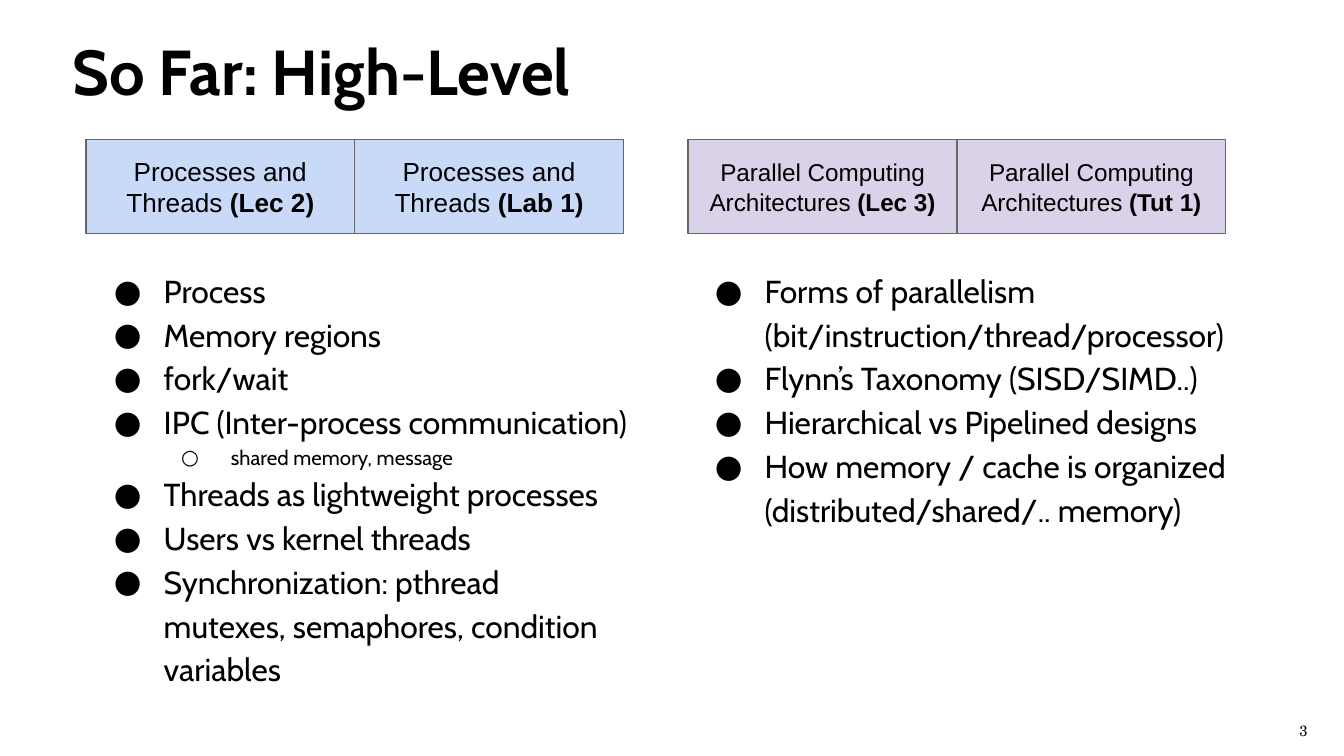
from lxml import etree
from pptx import Presentation
from pptx.dml.color import RGBColor
from pptx.enum.shapes import MSO_SHAPE
from pptx.enum.text import MSO_ANCHOR, PP_ALIGN
from pptx.oxml.ns import qn
from pptx.util import Inches, Pt

RECTANGLE = MSO_SHAPE.RECTANGLE
TOP, MIDDLE = MSO_ANCHOR.TOP, MSO_ANCHOR.MIDDLE
LEFT, CENTER = PP_ALIGN.LEFT, PP_ALIGN.CENTER

BLACK, GREY, BLUE, PURPLE = "000000", "666666", "C9DAF8", "D9D2E9"
HEADING_FONT, SESSION_FONT, NUMBER_FONT = "Cabin", "Arial", "TeX Gyre Schola"

SESSION_TOP, SESSION_WIDTH, SESSION_HEIGHT = 1.04, 2, 0.7
BULLETS = ("●", "○")
BULLET_SIZES = (17, 11)

PROCESS_POINTS = [
    (0, "Process"),
    (0, "Memory regions"),
    (0, "fork/wait"),
    (0, "IPC (Inter-process communication)"),
    (1, "shared memory, message"),
    (0, "Threads as lightweight processes"),
    (0, "Users vs kernel threads"),
    (0, "Synchronization: pthread\vmutexes, semaphores, condition variables"),
]
ARCHITECTURE_POINTS = [
    (0, "Forms of parallelism (bit/instruction/thread/processor)"),
    (0, "Flynn’s Taxonomy (SISD/SIMD..)"),
    (0, "Hierarchical vs Pipelined designs"),
    (0, "How memory / cache is organized (distributed/shared/.. memory)"),
]


def color(hex_string):
    return RGBColor.from_string(hex_string)


def set_font(font, name, size, bold=False):
    font.name = name
    font.size = Pt(size)
    font.bold = bold
    font.color.rgb = color(BLACK)


def prepare_frame(shape, anchor):
    frame = shape.text_frame
    frame.word_wrap = True
    frame.vertical_anchor = anchor
    frame.margin_left = frame.margin_right = Inches(0.1)
    frame.margin_top = frame.margin_bottom = Inches(0.1)
    return frame


def add_text_frame(slide, box, anchor=TOP):
    return prepare_frame(slide.shapes.add_textbox(*map(Inches, box)), anchor)


def add_line(slide, box, text, font, size, bold=False, align=LEFT, anchor=TOP):
    """Add a text box holding a single paragraph."""
    paragraph = add_text_frame(slide, box, anchor).paragraphs[0]
    paragraph.text = text
    paragraph.alignment = align
    set_font(paragraph.font, font, size, bold)


def add_bullet(paragraph, level):
    properties = paragraph._p.get_or_add_pPr()
    properties.set("marL", str(Inches(0.5 * (level + 1))))
    properties.set("indent", str(Inches(-0.37)))
    bullet_color = etree.SubElement(properties, qn("a:buClr"))
    etree.SubElement(bullet_color, qn("a:srgbClr"), val=BLACK)
    etree.SubElement(properties, qn("a:buSzPts"),
                     val=str(BULLET_SIZES[level] * 100))
    etree.SubElement(properties, qn("a:buFont"), typeface=HEADING_FONT)
    etree.SubElement(properties, qn("a:buChar"), char=BULLETS[level])


def add_points(slide, box, points):
    frame = add_text_frame(slide, box)
    for index, (level, text) in enumerate(points):
        paragraph = frame.add_paragraph() if index else frame.paragraphs[0]
        paragraph.text = text
        paragraph.level = level
        paragraph.line_spacing = 1.15
        add_bullet(paragraph, level)
        set_font(paragraph.font, HEADING_FONT, BULLET_SIZES[level])


def add_sessions(slide, left, topic, sessions, fill, size):
    """Add adjoining boxes, one per session on the topic."""
    for column, session in enumerate(sessions):
        box = (left + column * SESSION_WIDTH, SESSION_TOP,
               SESSION_WIDTH, SESSION_HEIGHT)
        card = slide.shapes.add_shape(RECTANGLE, *map(Inches, box))
        card.shadow.inherit = False
        card.fill.solid()
        card.fill.fore_color.rgb = color(fill)
        card.line.color.rgb = color(GREY)
        card.line.width = Pt(0.75)
        paragraph = prepare_frame(card, MIDDLE).paragraphs[0]
        paragraph.alignment = CENTER
        for text, bold in ((topic + " ", False), (f"({session})", True)):
            run = paragraph.add_run()
            run.text = text
            set_font(run.font, SESSION_FONT, size, bold)


def main():
    presentation = Presentation()
    presentation.slide_width = Inches(10)
    presentation.slide_height = presentation.slide_width * 9 // 16
    slide = presentation.slides.add_slide(presentation.slide_layouts[6])

    add_line(slide, (0.44, 0.14, 8.22, 0.7), "So Far: High-Level",
             HEADING_FONT, 34, bold=True)
    add_sessions(slide, 0.64, "Processes and Threads", ("Lec 2", "Lab 1"),
                 BLUE, 14)
    add_points(slide, (0.62, 1.88, 4.16, 3.57), PROCESS_POINTS)
    add_sessions(slide, 5.12, "Parallel Computing Architectures",
                 ("Lec 3", "Tut 1"), PURPLE, 13)
    add_points(slide, (5.09, 1.88, 4.29, 3.57), ARCHITECTURE_POINTS)
    add_line(slide, (9.4, 5.28, 0.6, 0.31), "3", NUMBER_FONT, 8,
             align=CENTER, anchor=MIDDLE)

    presentation.save("out.pptx")


if __name__ == "__main__":
    main()
